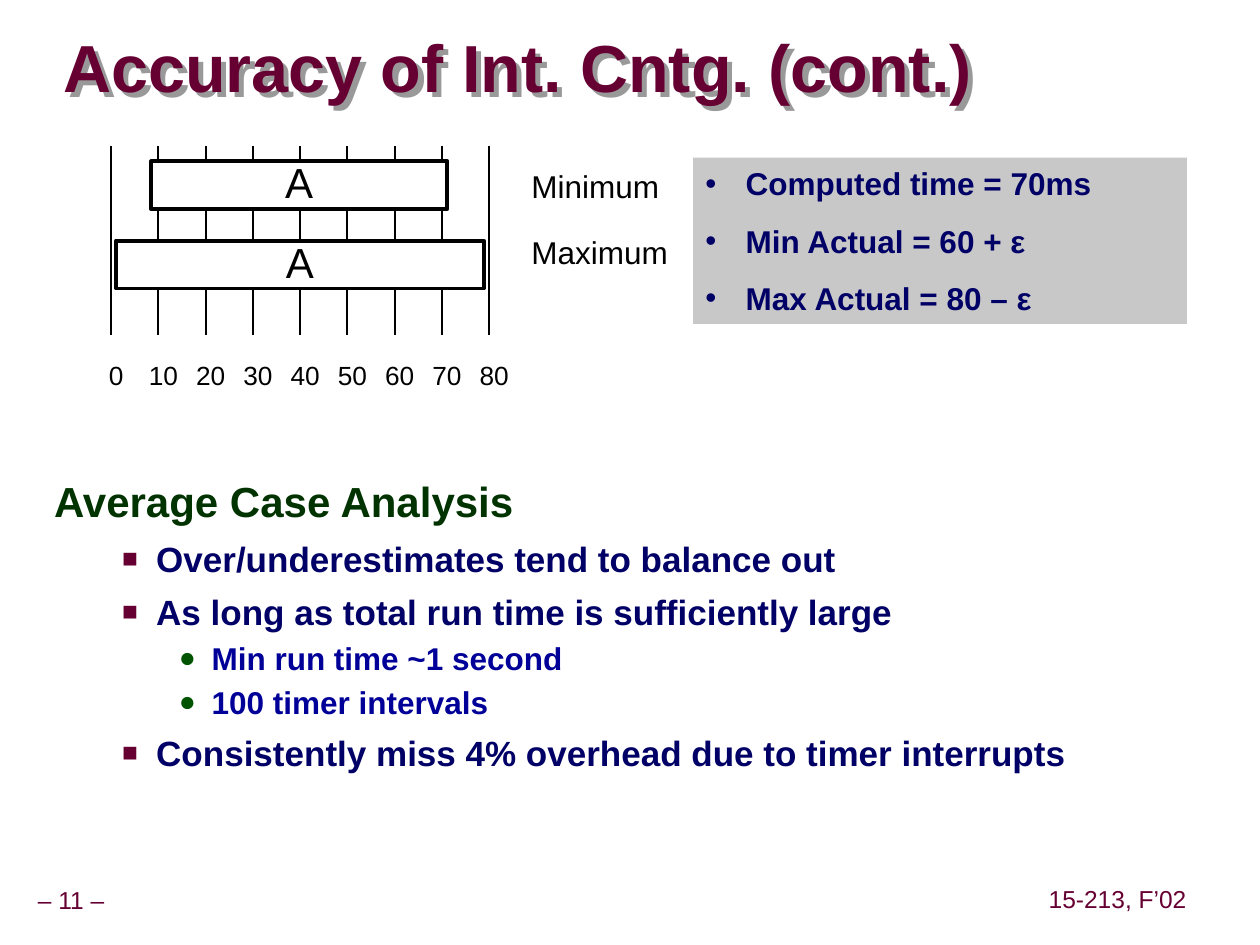
from dataclasses import dataclass
from typing import Optional

from lxml import etree
from pptx import Presentation
from pptx.dml.color import RGBColor
from pptx.enum.shapes import MSO_CONNECTOR, MSO_SHAPE
from pptx.enum.text import MSO_ANCHOR, MSO_AUTO_SIZE, PP_ALIGN
from pptx.oxml.ns import qn
from pptx.util import Emu, Inches, Pt

LEFT, CENTER = PP_ALIGN.LEFT, PP_ALIGN.CENTER
TOP, MIDDLE = MSO_ANCHOR.TOP, MSO_ANCHOR.MIDDLE
RECTANGLE, STRAIGHT = MSO_SHAPE.RECTANGLE, MSO_CONNECTOR.STRAIGHT
NO_FIT = MSO_AUTO_SIZE.NONE

BLACK = RGBColor(0x00, 0x00, 0x00)
WHITE = RGBColor(0xFF, 0xFF, 0xFF)
PANEL_GRAY = RGBColor(0xC8, 0xC8, 0xC8)
SHADOW_GRAY = RGBColor(0x99, 0x99, 0x99)
MAROON = RGBColor(0x66, 0x00, 0x33)
DARK_GREEN = RGBColor(0x00, 0x33, 0x00)
GREEN = RGBColor(0x00, 0x54, 0x00)
NAVY = RGBColor(0x00, 0x00, 0x66)
BLUE = RGBColor(0x00, 0x00, 0x99)

FONT = "Arial"
COLUMNS, ROWS = 40, 30
CELL = Inches(0.25)
TICK_LEFT, TICK_PITCH = 3.53, 1.5
TICK_TOP, TICK_BOTTOM = 4.64, 10.64


@dataclass
class ListStyle:
    size: float
    color: RGBColor
    margin: float = 0
    hanging: float = 0
    before: float = 0
    spacing: float = 1.0
    bullet: Optional[str] = None
    bullet_color: Optional[RGBColor] = None
    bullet_percent: int = 100
    level: int = 0


HEADING = ListStyle(24, DARK_GREEN, 0.42, 0.42, 15, 0.95)
POINT = ListStyle(20, NAVY, 0.81, 0.27, 6.2, 1.0, "■", MAROON, 75, 1)
DETAIL = ListStyle(18, BLUE, 1.25, 0.26, 2.2, 1.07, "●", GREEN, 90, 2)
NOTE = ListStyle(18, NAVY, 0.32, 0.32, 11.2, 1.0, "•", NAVY)

ANALYSIS = [
    ("Average Case Analysis", HEADING),
    ("Over/underestimates tend to balance out", POINT),
    ("As long as total run time is sufficiently large", POINT),
    ("Min run time ~1 second", DETAIL),
    ("100 timer intervals", DETAIL),
    ("Consistently miss 4% overhead due to timer interrupts", POINT),
]
NOTES = [
    ("Computed time = 70ms", NOTE),
    ("Min Actual = 60 + ε", NOTE),
    ("Max Actual = 80 – ε", NOTE),
]


def grid(*cells):
    """Turn counts of grid cells into slide lengths."""
    return [Emu(round(count * CELL)) for count in cells]


def add_child(parent, tag, **attributes):
    child = etree.SubElement(parent, qn(tag))
    for name, value in attributes.items():
        child.set(name, str(value))
    return child


def set_font(para, size, color, bold=False):
    font = para.font
    font.name, font.size, font.bold = FONT, Pt(size), bold
    font.color.rgb = color


def set_frame(frame, anchor, wrap, inset_x=0, inset_y=0):
    frame.auto_size = NO_FIT
    frame.word_wrap = wrap
    frame.vertical_anchor = anchor
    frame.margin_left = frame.margin_right = Inches(inset_x)
    frame.margin_top = frame.margin_bottom = Inches(inset_y)


def set_bullet(para, style):
    props = para._p.get_or_add_pPr()
    props.set("marL", str(Inches(style.margin)))
    props.set("indent", str(-Inches(style.hanging)))
    if style.bullet is None:
        add_child(props, "a:buNone")
        return
    add_child(add_child(props, "a:buClr"), "a:srgbClr", val=style.bullet_color)
    add_child(props, "a:buSzPct", val=style.bullet_percent * 1000)
    add_child(props, "a:buFont", typeface=FONT)
    add_child(props, "a:buChar", char=style.bullet)


def fill_list(frame, items):
    for index, (text, style) in enumerate(items):
        para = frame.add_paragraph() if index else frame.paragraphs[0]
        para.text = text
        para.level = style.level
        para.alignment = LEFT
        set_bullet(para, style)
        para.line_spacing = style.spacing
        para.space_before = Pt(style.before if index else 0)
        set_font(para, style.size, style.color, bold=True)


def place(shape, *cells):
    shape.left, shape.top, shape.width, shape.height = grid(*cells)


def add_title(page, text):
    title = page.shapes.title
    place(title, 2, 1, 30.6, 2.52)
    set_frame(title.text_frame, MIDDLE, True)
    para = title.text_frame.paragraphs[0]
    para.text = text
    para.alignment = LEFT
    para.line_spacing = 0.87
    set_font(para, 38, MAROON, bold=True)
    effects = add_child(title._element.spPr, "a:effectLst")
    shadow = add_child(effects, "a:outerShdw", dist=Inches(0.06), dir=45 * 60000)
    add_child(shadow, "a:srgbClr", val=SHADOW_GRAY)


def add_body(page, items):
    body = page.placeholders[1]
    place(body, 1.32, 15, 36.24, 12.16)
    set_frame(body.text_frame, TOP, True, 0.1, 0.05)
    fill_list(body.text_frame, items)


def add_label(page, text, cells, size, color=BLACK, anchor=TOP):
    box = page.shapes.add_textbox(*grid(*cells))
    set_frame(box.text_frame, anchor, False)
    para = box.text_frame.paragraphs[0]
    para.text = text
    para.alignment = CENTER
    para.line_spacing = 0.9
    set_font(para, size, color)


def add_rectangle(page, cells, fill):
    shape = page.shapes.add_shape(RECTANGLE, *grid(*cells))
    shape.shadow.inherit = False
    shape.fill.solid()
    shape.fill.fore_color.rgb = fill
    return shape


def add_bar(page, text, cells):
    bar = add_rectangle(page, cells, WHITE)
    bar.line.color.rgb = BLACK
    bar.line.width = Pt(2.25)
    set_frame(bar.text_frame, MIDDLE, True)
    para = bar.text_frame.paragraphs[0]
    para.text = text
    para.alignment = CENTER
    para.line_spacing = 0.9
    set_font(para, 24, BLACK)


def add_time_axis(page):
    for index in range(9):
        x = TICK_LEFT + index * TICK_PITCH
        tick = page.shapes.add_connector(STRAIGHT, *grid(x, TICK_TOP, x, TICK_BOTTOM))
        tick.line.color.rgb = BLACK
        tick.line.width = Pt(1.13)
        add_child(tick._element.spPr, "a:effectLst")
        add_label(page, str(index * 10), (x - 0.3, 11.52, 0.92, 0.92), 15)


def add_notes_panel(page, items):
    panel = add_rectangle(page, (22, 5, 15.68, 5.28), PANEL_GRAY)
    panel.line.fill.background()
    set_frame(panel.text_frame, MIDDLE, True, 0.1, 0.05)
    fill_list(panel.text_frame, items)


def main():
    deck = Presentation()
    deck.slide_width, deck.slide_height = grid(COLUMNS, ROWS)
    page = deck.slides.add_slide(deck.slide_layouts[1])
    add_label(page, "– 11 –", (-0.36, 28, 5.24, 1.24), 14, MAROON, MIDDLE)
    add_label(page, "15-213, F’02", (33.08, 27.96, 4.8, 1.24), 14, MAROON, MIDDLE)
    add_title(page, "Accuracy of Int. Cntg. (cont.)")
    add_body(page, ANALYSIS)
    add_time_axis(page)
    add_bar(page, "A", (4.8, 5.12, 9.4, 1.52))
    add_bar(page, "A", (3.68, 7.64, 11.68, 1.52))
    add_label(page, "Minimum", (16.88, 5.44, 4.04, 1.08), 18)
    add_label(page, "Maximum", (16.88, 7.52, 4.32, 1.08), 18)
    add_notes_panel(page, NOTES)
    deck.save("out.pptx")


if __name__ == "__main__":
    main()
